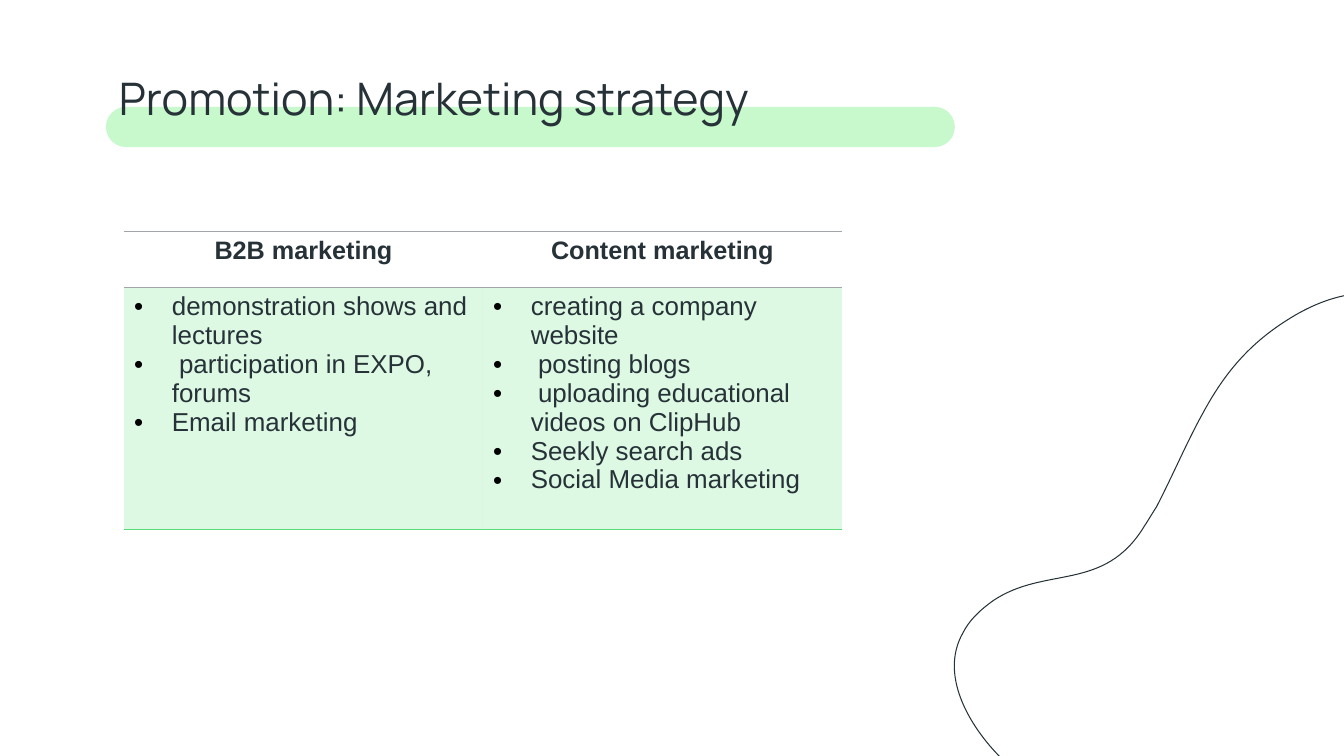
import pptx
import pptx.dml.color
import pptx.enum.shapes
import pptx.enum.text
import pptx.oxml
import pptx.oxml.ns
import pptx.util
from pptx.util import Inches

RGBColor = pptx.dml.color.RGBColor
INK = RGBColor(0x26, 0x32, 0x38)
MINT = RGBColor(0xC7, 0xF9, 0xCC)
GREEN = RGBColor(0x58, 0xDD, 0x76)
GREY = RGBColor(0xA0, 0xA5, 0xA8)
BLACK = RGBColor(0, 0, 0)
PLAIN_TABLE_STYLE = "{2D5ABB26-0587-4C30-8999-92F81FD0307C}"
NAMESPACE = pptx.oxml.ns.nsdecls("a")
qn = pptx.oxml.ns.qn

MARKETING = {
    "B2B marketing": [
        "demonstration shows and lectures",
        " participation in EXPO, forums",
        "Email marketing",
    ],
    "Content marketing": [
        "creating a company website",
        " posting blogs",
        " uploading educational videos on ClipHub",
        "Seekly search ads",
        "Social Media marketing",
    ],
}

BLOB_START = (0.25, 3.58)
BLOB_CURVES = [
    ((0.31, 3.46), (0.41, 3.36), (0.55, 3.26)),
    ((1.07, 2.91), (1.65, 3.18), (2.05, 2.52)),
    ((2.09, 2.46), (2.13, 2.39), (2.17, 2.33)),
    ((2.34, 2), (2.47, 1.69), (2.63, 1.4)),
    ((2.82, 1.05), (3.05, 0.74), (3.46, 0.48)),
    ((4.16, 0.03), (4.74, 0.18), (5.27, 0.63)),
    ((6.19, 1.41), (6.18, 2.56), (5.62, 3.58)),
    ((5.38, 4.02), (5.04, 4.43), (4.63, 4.78)),
    ((3.33, 5.89), (1.74, 5.86), (0.67, 4.86)),
    ((0.35, 4.56), (0, 4.02), BLOB_START),
]


def format_runs(paragraph, size, font_name, bold=False):
    for run in paragraph.runs:
        run.font.size = pptx.util.Pt(size)
        run.font.name = font_name
        run.font.bold = bold
        run.font.color.rgb = INK


def add_title(slide, left, top, width, height):
    bar = slide.shapes.add_shape(
        pptx.enum.shapes.MSO_SHAPE.ROUNDED_RECTANGLE,
        Inches(left), Inches(top + 0.49), Inches(8.42), Inches(0.4))
    bar.adjustments[0] = 0.5
    bar.shadow.inherit = False
    bar.fill.solid()
    bar.fill.fore_color.rgb = MINT
    bar.line.fill.background()

    title = slide.shapes.add_textbox(
        Inches(left), Inches(top), Inches(width), Inches(height))
    frame = title.text_frame
    frame.word_wrap = True
    frame.margin_left = frame.margin_right = Inches(0.13)
    frame.margin_top = frame.margin_bottom = Inches(0.13)
    frame.text = "Promotion: Marketing strategy"
    format_runs(frame.paragraphs[0], 32, "Manrope")


def bend_segments(shape):
    segments = list(shape._element.iter(qn("a:lnTo")))
    for first in range(0, len(segments), 3):
        curve = pptx.oxml.parse_xml(f"<a:cubicBezTo {NAMESPACE}/>")
        segments[first].addprevious(curve)
        for segment in segments[first:first + 3]:
            curve.append(segment[0])
            segment.getparent().remove(segment)


def add_blob(slide, left, top):
    def place(point):
        return Inches(left + point[0]), Inches(top + point[1])

    builder = slide.shapes.build_freeform(*place(BLOB_START))
    builder.add_line_segments(
        [place(point) for curve in BLOB_CURVES for point in curve], close=True)
    blob = builder.convert_to_shape()
    bend_segments(blob)
    blob.shadow.inherit = False
    blob.fill.background()
    blob.line.color.rgb = INK
    blob.line.width = pptx.util.Pt(0.75)


def add_bullet(paragraph):
    properties = paragraph._p.get_or_add_pPr()
    properties.set("marL", str(Inches(0.375)))
    properties.set("indent", str(-Inches(0.375)))
    for xml in (
        f'<a:buClr {NAMESPACE}><a:srgbClr val="{BLACK}"/></a:buClr>',
        f'<a:buFont {NAMESPACE} typeface="Arial"/>',
        f'<a:buChar {NAMESPACE} char="•"/>',
    ):
        properties.append(pptx.oxml.parse_xml(xml))


def set_border(cell, side, color, width):
    line = pptx.oxml.parse_xml(
        f'<a:{side} {NAMESPACE} w="{pptx.util.Pt(width)}" cmpd="sng"><a:solidFill>'
        f'<a:srgbClr val="{color}"/></a:solidFill><a:prstDash val="solid"/></a:{side}>')
    properties = cell._tc.get_or_add_tcPr()
    borders = [child for child in properties if "}ln" in child.tag]
    properties.insert(len(borders), line)


def fill_header(cell, heading):
    cell.text_frame.text = heading
    paragraph = cell.text_frame.paragraphs[0]
    paragraph.alignment = pptx.enum.text.PP_ALIGN.CENTER
    format_runs(paragraph, 18, "Arial", bold=True)
    cell.fill.background()
    set_border(cell, "lnT", GREY, 0.75)
    set_border(cell, "lnB", GREY, 0.75)


def fill_body(cell, items):
    cell.text_frame.text = "\n".join(items)
    for paragraph in cell.text_frame.paragraphs:
        add_bullet(paragraph)
        format_runs(paragraph, 18.5, "Arial")
    cell.fill.solid()
    cell.fill.fore_color.rgb = GREEN
    color = cell._tc.tcPr.find(".//" + qn("a:srgbClr"))
    color.append(pptx.oxml.parse_xml(f'<a:alpha {NAMESPACE} val="20000"/>'))
    set_border(cell, "lnB", GREEN, 1)


def add_marketing_table(slide, left, top, width, height):
    header_height = 0.55
    table = slide.shapes.add_table(
        2, len(MARKETING), Inches(left), Inches(top),
        Inches(width), Inches(height)).table
    table.first_row = False
    table.horz_banding = False
    table._tbl.tblPr.find(qn("a:tableStyleId")).text = PLAIN_TABLE_STYLE
    table.rows[0].height = Inches(header_height)
    table.rows[1].height = Inches(height - header_height)
    for column, (heading, items) in enumerate(MARKETING.items()):
        fill_header(table.cell(0, column), heading)
        fill_body(table.cell(1, column), items)


def main():
    presentation = pptx.Presentation()
    presentation.slide_width = Inches(13.33)
    presentation.slide_height = Inches(7.5)
    slide = presentation.slides.add_slide(presentation.slide_layouts[6])
    add_blob(slide, 9.3, 2.7)
    add_title(slide, 1.05, 0.57, 11.23, 0.89)
    add_marketing_table(slide, 1.23, 2.3, 7.12, 2.95)
    presentation.save("out.pptx")


if __name__ == "__main__":
    main()
